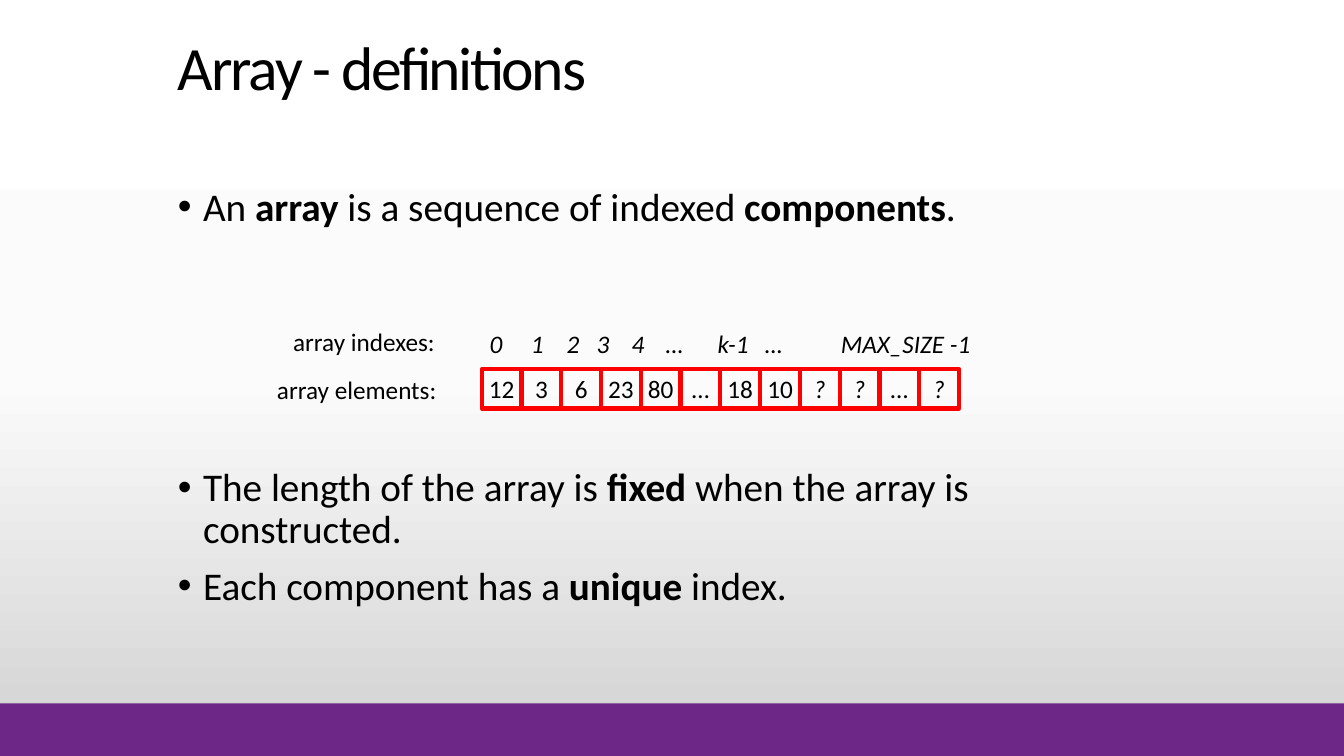
from copy import deepcopy
from dataclasses import dataclass

from lxml.etree import SubElement
from pptx import Presentation
from pptx.dml.color import RGBColor
from pptx.enum.shapes import MSO_SHAPE
from pptx.enum.text import MSO_ANCHOR, PP_ALIGN
from pptx.oxml.ns import qn
from pptx.util import Pt


@dataclass(frozen=True)
class Theme:
    font: str = "Calibri"
    text: str = "000000"
    bar: str = "6C2787"
    cell_line: str = "FF0000"
    background: tuple = ((0, "FFFFFF"), (0.5, "FBFBFB"), (1, "D1D1D1"))
    title_size: int = 44
    body_size: int = 28
    label_size: int = 18
    line_spacing: float = 0.9


class SlideBuilder:
    def __init__(self, slide, theme):
        self.slide = slide
        self.theme = theme

    def background(self):
        fill = self.slide.background.fill
        fill.gradient()
        fill.gradient_angle = 270
        stop_list = self.slide.element.xpath(".//a:gsLst")[0]
        stop_list.append(deepcopy(stop_list[-1]))
        for stop, (position, color) in zip(fill.gradient_stops, self.theme.background):
            stop.position = position
            stop.color.rgb = RGBColor.from_string(color)

    def style(self, run, size, bold=False, italic=False):
        font = run.font
        font.name = self.theme.font
        font.size = Pt(size)
        font.bold = bold
        font.italic = italic
        font.color.rgb = RGBColor.from_string(self.theme.text)

    def text_box(self, left, top, width, height, wrap=True):
        box = self.slide.shapes.add_textbox(Pt(left), Pt(top), Pt(width), Pt(height))
        box.text_frame.word_wrap = wrap
        return box.text_frame

    def rectangle(self, left, top, width, height):
        shape = self.slide.shapes.add_shape(
            MSO_SHAPE.RECTANGLE, Pt(left), Pt(top), Pt(width), Pt(height))
        shape.shadow.inherit = False
        return shape

    def bar(self, left, top, width, height):
        shape = self.rectangle(left, top, width, height)
        shape.fill.solid()
        shape.fill.fore_color.rgb = RGBColor.from_string(self.theme.bar)
        shape.line.fill.background()

    def title(self, text, left, top, width, height):
        text_frame = self.text_box(left, top, width, height)
        text_frame.vertical_anchor = MSO_ANCHOR.BOTTOM
        text_frame.text = text
        paragraph = text_frame.paragraphs[0]
        paragraph.line_spacing = self.theme.line_spacing
        run = paragraph.runs[0]
        self.style(run, self.theme.title_size)
        run.font._element.set("spc", "-150")

    def bullets(self, items, left, top, width, height):
        text_frame = self.text_box(left, top, width, height)
        for number, (space_before, parts) in enumerate(items):
            paragraph = text_frame.add_paragraph() if number else text_frame.paragraphs[0]
            paragraph.space_before = Pt(space_before)
            paragraph.line_spacing = self.theme.line_spacing
            properties = paragraph._p.get_or_add_pPr()
            properties.set("marL", str(Pt(18)))
            properties.set("indent", str(-Pt(18)))
            SubElement(properties, qn("a:buFont"), typeface="Arial")
            SubElement(properties, qn("a:buChar"), char="•")
            for position, text in enumerate(parts):
                run = paragraph.add_run()
                run.text = text
                self.style(run, self.theme.body_size, bold=position % 2 == 1)

    def label(self, text, left, top, width, height, italic=False):
        text_frame = self.text_box(left, top, width, height, wrap=False)
        text_frame.text = text
        self.style(text_frame.paragraphs[0].runs[0], self.theme.label_size, italic=italic)

    def cell(self, text, left, top, side):
        shape = self.rectangle(left, top, side, side)
        shape.fill.background()
        shape.line.color.rgb = RGBColor.from_string(self.theme.cell_line)
        shape.line.width = Pt(3)
        text_frame = shape.text_frame
        text_frame.word_wrap = False
        text_frame.vertical_anchor = MSO_ANCHOR.MIDDLE
        text_frame.text = text
        paragraph = text_frame.paragraphs[0]
        paragraph.alignment = PP_ALIGN.CENTER
        self.style(paragraph.runs[0], self.theme.label_size, italic=text == "?")


BULLETS = (
    (10, ("An ", "array ", "is a sequence of indexed ", "components", ".")),
    (170, ("The length of the array is ", "fixed", " when the array is constructed.")),
    (10, ("Each component has a ", "unique", " index.")),
)
INDEXES = (
    ("0", 342.7, 24), ("1", 372.2, 24), ("2", 397.7, 24),
    ("3", 419, 24), ("4", 444, 24), ("…", 468.5, 28),
    ("k-1", 505.5, 38), ("…", 539.5, 28), ("MAX_SIZE -1", 593.5, 108),
)
ELEMENTS = ("12", "3", "6", "23", "80", "…", "18", "10", "?", "?", "…", "?")
CELLS_LEFT, CELLS_TOP, CELL_SIDE = 344.2, 263.5, 28.4
LABEL_HEIGHT = 29

presentation = Presentation()
presentation.slide_width = Pt(960)
presentation.slide_height = Pt(540)
slide = presentation.slides.add_slide(presentation.slide_layouts[6])
builder = SlideBuilder(slide, Theme())

builder.background()
builder.bar(0, 502.5, 960, 37.5)
builder.title("Array - definitions", 120, 10.8, 578, 67)
builder.bullets(BULLETS, 120, 130.3, 692, 384)
for position, element in enumerate(ELEMENTS):
    builder.cell(element, CELLS_LEFT + position * CELL_SIDE, CELLS_TOP, CELL_SIDE)
builder.label("array indexes:", 202.3, 229.7, 117, LABEL_HEIGHT)
builder.label("array elements:", 190.8, CELLS_TOP, 130, LABEL_HEIGHT)
for index, left, width in INDEXES:
    builder.label(index, left, 231.1, width, LABEL_HEIGHT, italic=True)

presentation.save("out.pptx")
